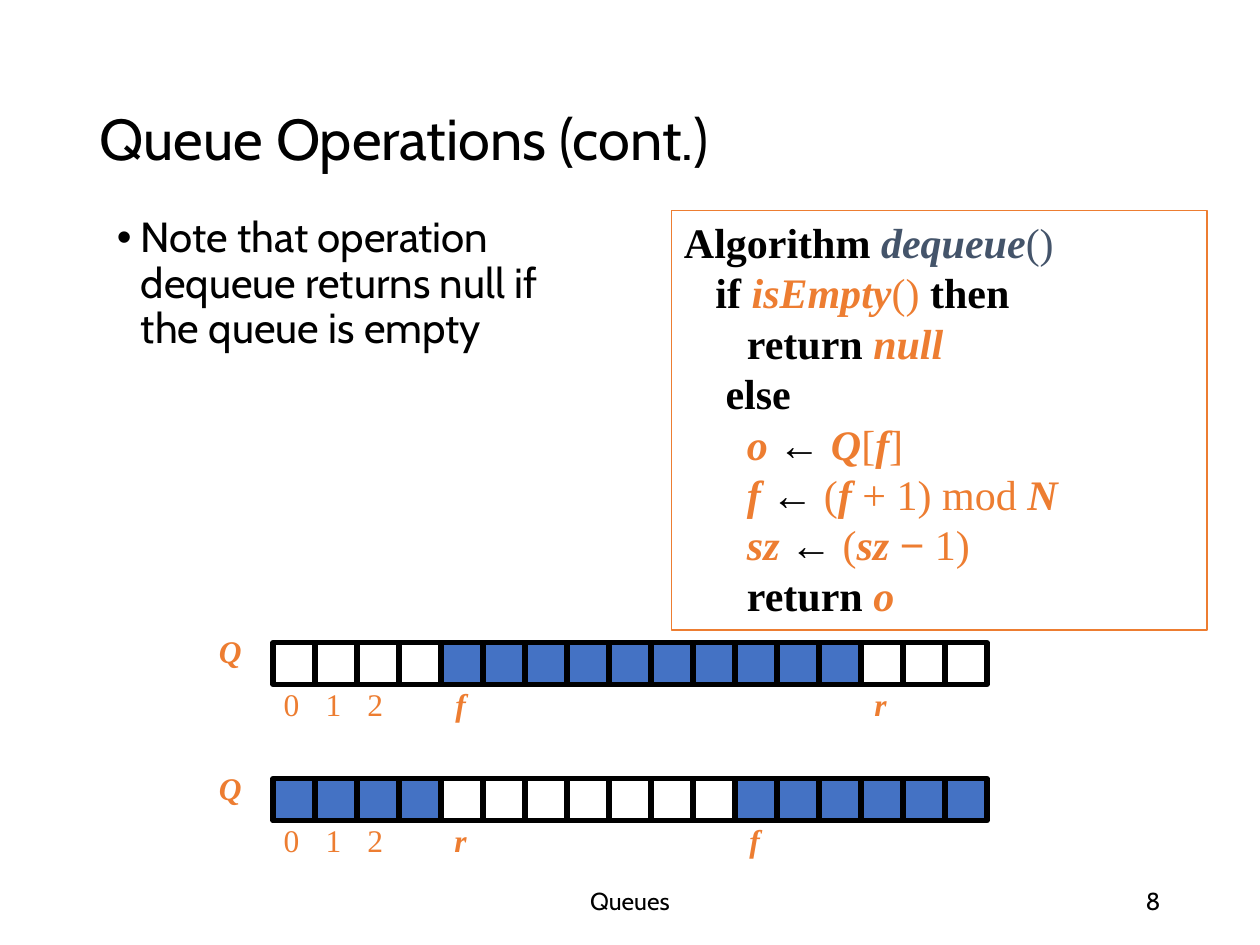
from dataclasses import dataclass

from lxml.etree import SubElement
from pptx import Presentation
from pptx.dml.color import RGBColor as Rgb
from pptx.enum.shapes import MSO_SHAPE as Preset
from pptx.enum.text import MSO_ANCHOR as Anchor, PP_ALIGN as Align
from pptx.oxml.ns import qn
from pptx.util import Inches, Pt


@dataclass(frozen=True)
class Theme:
    sans: str = "Cabin"
    serif: str = "Times New Roman"
    symbol: str = "Arial"
    ink: str = "000000"
    accent: str = "ED7D31"
    name: str = "44546A"
    used: str = "4472C4"
    free: str = "FFFFFF"
    title: float = 33
    body: float = 24
    label: float = 18
    footer: float = 14


THEME = Theme()
CELL = 1 / 3
ROW_LEFT = 6.5 * CELL
CELL_COUNT = 17

# Style of a span: font, colour, bold, italic
PLAIN = (THEME.sans, THEME.ink, False, False)
KEYWORD = (THEME.serif, THEME.ink, True, False)
ARROW = (THEME.serif, THEME.ink, False, False)
METHOD = (THEME.serif, THEME.name, True, True)
PARENS = (THEME.serif, THEME.name, False, False)
VARIABLE = (THEME.serif, THEME.accent, True, True)
MATH = (THEME.serif, THEME.accent, False, False)
MINUS = (THEME.symbol, THEME.accent, False, False)

# Each line: indent in inches, then its spans
ALGORITHM = [
    (0, [("Algorithm ", KEYWORD), ("dequeue", METHOD), ("()", PARENS)]),
    (0.25, [("if ", KEYWORD), ("isEmpty", VARIABLE), ("() ", MATH),
            ("then", KEYWORD)]),
    (0.5, [("return ", KEYWORD), ("null", VARIABLE)]),
    (0.33, [("else", KEYWORD)]),
    (0.5, [("o ", VARIABLE), ("← ", ARROW), ("Q", VARIABLE), ("[", MATH),
           ("f", VARIABLE), ("]", MATH)]),
    (0.5, [("f ", VARIABLE), ("← ", ARROW), ("(", MATH), ("f ", VARIABLE),
           ("+ 1) mod ", MATH), ("N", VARIABLE)]),
    (0.5, [("sz ", VARIABLE), ("← ", ARROW), ("(", MATH), ("sz ", VARIABLE),
           ("−", MINUS), (" 1)", MATH)]),
    (0.5, [("return ", KEYWORD), ("o", VARIABLE)]),
]


def add_spans(para, spans, size):
    for text, (font, colour, bold, italic) in spans:
        span = para.add_run()
        span.text = text
        span.font.name = font
        span.font.size = Pt(size)
        span.font.bold = bold
        span.font.italic = italic
        span.font.color.rgb = Rgb.from_string(colour)


def set_indent(para, left, first=0):
    props = para._p.get_or_add_pPr()
    props.set("marL", str(Inches(left)))
    props.set("indent", str(Inches(first)))
    return props


def add_text(shapes, area, text, style, size, align=Align.LEFT,
             anchor=Anchor.TOP, inset=True, wrap=True):
    """Add a one-paragraph text box and return its paragraph."""
    box = shapes.add_textbox(*map(Inches, area))
    frame = box.text_frame
    frame.word_wrap = wrap
    frame.vertical_anchor = anchor
    if not inset:
        frame.margin_left = frame.margin_right = 0
        frame.margin_top = frame.margin_bottom = 0
    para = frame.paragraphs[0]
    para.alignment = align
    add_spans(para, [(text, style)], size)
    return para


def add_rectangle(shapes, area, line, width, fill=None):
    box = shapes.add_shape(Preset.RECTANGLE, *map(Inches, area))
    box.shadow.inherit = False
    if fill:
        box.fill.solid()
        box.fill.fore_color.rgb = Rgb.from_string(fill)
    else:
        box.fill.background()
    box.line.color.rgb = Rgb.from_string(line)
    box.line.width = Pt(width)
    return box


def add_bullet_text(shapes, area, text):
    para = add_text(shapes, area, text, PLAIN, THEME.body)
    para.line_spacing = 0.9
    para.space_before = Pt(7.5)
    props = set_indent(para, 0.19, -0.19)
    SubElement(props, qn("a:buFont"), typeface=THEME.symbol)
    SubElement(props, qn("a:buChar"), char="•")


def add_algorithm(shapes, area):
    box = add_rectangle(shapes, area, THEME.accent, 0.75)
    frame = box.text_frame
    frame.word_wrap = True
    frame.vertical_anchor = Anchor.TOP
    for number, (indent, spans) in enumerate(ALGORITHM):
        para = frame.add_paragraph() if number else frame.paragraphs[0]
        para.alignment = Align.LEFT
        para.line_spacing = Pt(1.2 * THEME.body)
        set_indent(para, indent)
        add_spans(para, spans, THEME.body)


def add_queue(page, top, used, markers):
    """Draw the array as a row of cells, with its name, indices and markers."""
    shapes = page.shapes.add_group_shape().shapes
    below = top + 0.34

    def cell_left(column):
        return ROW_LEFT + column * CELL

    add_text(shapes, (cell_left(-1.5), top - 0.08, 0.32, 0.4), "Q", VARIABLE,
             THEME.label, Align.CENTER, inset=False)
    for index in range(3):
        add_text(shapes, (cell_left(index + 0.25), below, CELL / 2, 0.4),
                 str(index), MATH, THEME.label, inset=False, wrap=False)
    for marker, column in markers.items():
        add_text(shapes, (cell_left(column), below, 0.31, 0.4), marker,
                 VARIABLE, THEME.label, Align.CENTER, inset=False)
    for column in range(CELL_COUNT):
        fill = THEME.used if column in used else THEME.free
        add_rectangle(shapes, (cell_left(column), top, CELL, CELL),
                      THEME.ink, 3, fill)


def main():
    deck = Presentation()
    deck.slide_width, deck.slide_height = Inches(10), Inches(7.5)
    page = deck.slides.add_slide(deck.slide_layouts[6])
    shapes = page.shapes

    title = add_text(shapes, (0.69, 0.4, 8.62, 1.45), "Queue Operations (cont.)",
                     PLAIN, THEME.title, anchor=Anchor.MIDDLE)
    title.line_spacing = 0.9
    add_bullet_text(
        shapes, (0.83, 1.67, 3.75, 2.42),
        "Note that operation dequeue returns null if the queue is empty")
    add_text(shapes, (3.31, 6.95, 3.38, 0.4), "Queues", PLAIN, THEME.footer,
             Align.CENTER, Anchor.MIDDLE)
    add_text(shapes, (7.06, 6.95, 2.25, 0.4), "8", PLAIN, THEME.footer,
             Align.RIGHT, Anchor.MIDDLE)
    add_algorithm(shapes, (5.33, 1.67, 4.25, 3.33))

    add_queue(page, 5.1, range(4, 14), {"r": 14, "f": 4})
    add_queue(page, 6.18, [*range(4), *range(11, CELL_COUNT)],
              {"f": 11, "r": 4})

    deck.save("out.pptx")


if __name__ == "__main__":
    main()
